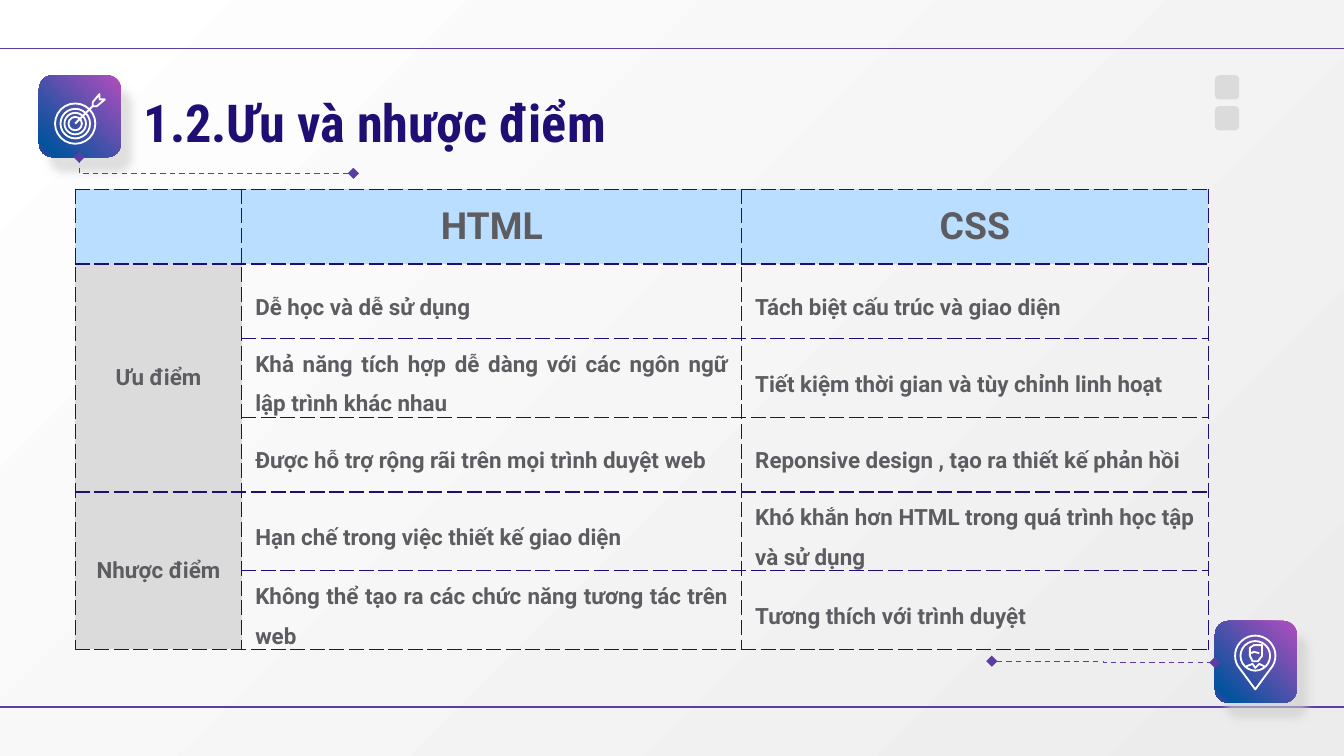
"""Build a slide that compares the pros and cons of HTML and CSS."""
from copy import deepcopy
from math import cos, radians, sin

from lxml.etree import SubElement
from pptx import Presentation
from pptx.dml.color import RGBColor
from pptx.enum.dml import MSO_LINE
from pptx.enum.shapes import MSO_CONNECTOR, MSO_SHAPE
from pptx.enum.text import MSO_ANCHOR, MSO_AUTO_SIZE, PP_ALIGN
from pptx.oxml import parse_xml
from pptx.oxml.ns import nsdecls, qn
from pptx.util import Inches, Pt

WIDTH, HEIGHT = 10, 5.625
NAVY, PURPLE, GREY, WHITE = "200E74", "5C3DA4", "5C5C61", "FFFFFF"
SKY, SILVER = "B9DEFF", "DBDBDB"
BACKDROP = [(0, WHITE), (1, "ECECEC")]
BADGE_STOPS = [(0, "B24EBE"), (0.89, "01539D"), (1, PURPLE)]

TITLE = "1.2.Ưu và nhược điểm"
HEADINGS = ["", "HTML", "CSS"]
GROUPS = [
    ("Ưu điểm", [
        ("Dễ học và dễ sử dụng", "Tách biệt cấu trúc và giao diện"),
        ("Khả năng tích hợp dễ dàng với các ngôn ngữ lập trình khác nhau",
         "Tiết kiệm thời gian và tùy chỉnh linh hoạt"),
        ("Được hỗ trợ rộng rãi trên mọi trình duyệt web",
         "Reponsive design , tạo ra thiết kế phản hồi"),
    ]),
    ("Nhược điểm", [
        ("Hạn chế trong việc thiết kế giao diện",
         "Khó khắn hơn HTML trong quá trình học tập và sử dụng"),
        ("Không thể tạo ra các chức năng tương tác trên web",
         "Tương thích với trình duyệt"),
    ]),
]
COLUMNS, TABLE_HEIGHT = [1.24, 3.72, 3.47], 3.33
RULES = [0.36, 5.26]
BADGE, BADGES = 0.61, [(0.29, 0.56), (9.04, 4.62)]
SQUARE, SQUARES = 0.18, [(9.04, 0.79), (9.04, 0.56)]
LINKS = [("bentConnector2", (2.63, 1.29, 0.59, 1.17)),
         ("bentConnector3", (7.38, 4.92, 9.04, 4.93))]

TARGET, TARGET_RINGS = (0.56, 0.92), [0.15, 0.11, 0.08, 0.05]
FEATHER = [(0.69, 0.79), (0.69, 0.76), (0.74, 0.7), (0.74, 0.74), (0.78, 0.74), (0.72, 0.79)]
PIN, PIN_RADIUS, PIN_RING, PIN_TIP = (9.34, 4.88), 0.15, 0.11, (9.34, 5.13)
FACE = [(9.3, 4.82), (9.33, 4.8), (9.39, 4.8), (9.39, 4.88), (9.36, 4.92), (9.32, 4.92), (9.3, 4.88)]
FRINGE = [(9.31, 4.86), (9.33, 4.85), (9.37, 4.86)]
COLLAR = [(9.27, 4.96), (9.32, 4.94), (9.34, 4.97), (9.37, 4.94), (9.41, 4.96)]


def color(text):
    return RGBColor.from_string(text)


def inches(values):
    return [Inches(value) for value in values]


def solid(fill, shade):
    fill.solid()
    fill.fore_color.rgb = color(shade)


def gradient(fill, stops, angle):
    fill.gradient()
    fill.gradient_angle = angle
    for _ in stops[2:]:
        last = next(iter(fill.gradient_stops))._gs
        last.addnext(deepcopy(last))
    for stop, (position, shade) in zip(fill.gradient_stops, stops):
        stop.position = position
        stop.color.rgb = color(shade)


def add_block(page, kind, left, top, width, height):
    shape = page.shapes.add_shape(kind, *inches((left, top, width, height)))
    shape.shadow.inherit = False
    shape.line.fill.background()
    return shape


def outline(shape):
    shape.shadow.inherit = False
    shape.fill.background()
    shape.line.color.rgb = color(WHITE)
    shape.line.width = Pt(1)


def add_ring(page, center, radius):
    x, y = center
    outline(add_block(page, MSO_SHAPE.OVAL, x - radius, y - radius, 2 * radius, 2 * radius))


def add_path(page, points, close=False):
    start, *others = [inches(point) for point in points]
    builder = page.shapes.build_freeform(*start)
    builder.add_line_segments(others, close=close)
    outline(builder.convert_to_shape())


def add_line(page, ends, kind=MSO_CONNECTOR.STRAIGHT):
    line = page.shapes.add_connector(kind, *inches(ends))
    line.line.color.rgb = color(PURPLE)
    line.line.width = Pt(0.75)
    SubElement(line._element.spPr, qn("a:effectLst"))
    return line


def add_link(page, preset, ends):
    link = add_line(page, ends, MSO_CONNECTOR.ELBOW)
    link._element.spPr.find(qn("a:prstGeom")).set("prst", preset)
    link.line.dash_style = MSO_LINE.DASH
    for end in ("a:headEnd", "a:tailEnd"):
        SubElement(link.line._get_or_add_ln(), qn(end), type="diamond")


def add_badge(page, left, top):
    badge = add_block(page, MSO_SHAPE.ROUNDED_RECTANGLE, left, top, BADGE, BADGE)
    gradient(badge.fill, BADGE_STOPS, 225)
    badge._element.spPr.find(qn("a:effectLst")).append(parse_xml(
        f'<a:outerShdw {nsdecls("a")} blurRad="{Pt(4.5)}" dist="{Pt(9.8)}" dir="{55 * 60000}" '
        'algn="bl" rotWithShape="0"><a:srgbClr val="CCCCCC"><a:alpha val="60000"/>'
        '</a:srgbClr></a:outerShdw>'))


def add_icons(page):
    for radius in TARGET_RINGS:
        add_ring(page, TARGET, radius)
    add_path(page, [TARGET, FEATHER[0]])
    add_path(page, FEATHER, close=True)
    arc = [(PIN[0] + PIN_RADIUS * cos(radians(angle)), PIN[1] + PIN_RADIUS * sin(radians(angle)))
           for angle in range(150, 391, 10)]
    add_path(page, [PIN_TIP] + arc, close=True)
    add_ring(page, PIN, PIN_RING)
    add_path(page, FACE, close=True)
    add_path(page, FRINGE)
    add_path(page, COLLAR)


def format_cell(cell, text, size=12, align=PP_ALIGN.CENTER, spacing=1, shade=None):
    cell.text = text
    cell.vertical_anchor = MSO_ANCHOR.MIDDLE
    cell.margin_left = cell.margin_right = Inches(0.1)
    cell.margin_top = cell.margin_bottom = 0
    para = cell.text_frame.paragraphs[0]
    para.alignment, para.line_spacing = align, spacing
    para.font.name, para.font.size, para.font.bold = "Roboto", Pt(size), True
    para.font.color.rgb = color(GREY)
    if shade:
        solid(cell.fill, shade)
    else:
        cell.fill.background()
    for index, side in enumerate("LRTB"):
        cell._tc.get_or_add_tcPr().insert(index, parse_xml(
            f'<a:ln{side} {nsdecls("a")} w="{Pt(0.75)}"><a:solidFill><a:srgbClr val="{NAVY}"/>'
            f'</a:solidFill><a:prstDash val="dash"/></a:ln{side}>'))


def add_comparison(page):
    count = 1 + sum(len(pairs) for _, pairs in GROUPS)
    table = page.shapes.add_table(
        count, len(COLUMNS), *inches((0.56, 1.41, sum(COLUMNS), TABLE_HEIGHT))).table
    for column, width in zip(table.columns, COLUMNS):
        column.width = Inches(width)
    for column, heading in enumerate(HEADINGS):
        format_cell(table.cell(0, column), heading, size=20, shade=SKY)
    row = 1
    for label, pairs in GROUPS:
        first = row
        for pair in pairs:
            format_cell(table.cell(row, 0), label if row == first else "", shade=SILVER)
            for column, text in enumerate(pair, 1):
                format_cell(table.cell(row, column), text, align=PP_ALIGN.JUSTIFY, spacing=1.5)
            row += 1
        table.cell(first, 0).merge(table.cell(row - 1, 0))


def add_title(page):
    title = page.shapes.title
    title.left, title.top, title.width, title.height = inches((0.97, 0.54, 8.07, 0.7))
    frame = title.text_frame
    frame.text = TITLE
    frame.auto_size, frame.vertical_anchor = MSO_AUTO_SIZE.NONE, MSO_ANCHOR.BOTTOM
    frame.margin_left = frame.margin_right = frame.margin_top = frame.margin_bottom = Inches(0.1)
    para = frame.paragraphs[0]
    para.alignment = PP_ALIGN.LEFT
    para.font.name, para.font.size, para.font.bold = "Roboto Condensed", Pt(28), True
    para.font.color.rgb = color(NAVY)


def main():
    deck = Presentation()
    deck.slide_width, deck.slide_height = inches((WIDTH, HEIGHT))
    page = deck.slides.add_slide(deck.slide_layouts[5])
    gradient(page.background.fill, BACKDROP, 315)
    for y in RULES:
        add_line(page, (0, y, WIDTH, y))
    for corner in BADGES:
        add_badge(page, *corner)
    for preset, ends in LINKS:
        add_link(page, preset, ends)
    add_icons(page)
    for corner in SQUARES:
        square = add_block(page, MSO_SHAPE.ROUNDED_RECTANGLE, *corner, SQUARE, SQUARE)
        solid(square.fill, SILVER)
    add_title(page)
    add_comparison(page)
    deck.save("out.pptx")


if __name__ == "__main__":
    main()
